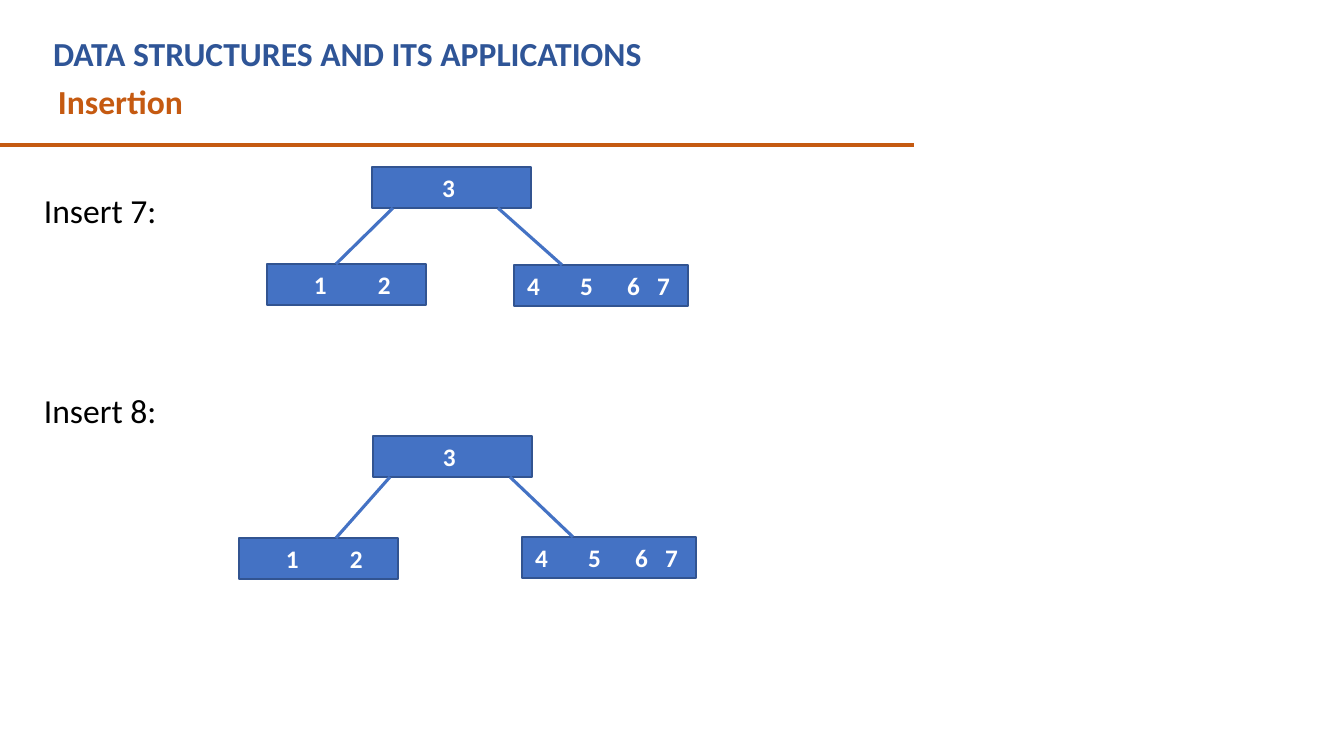
from dataclasses import dataclass

from lxml.etree import SubElement
from pptx import Presentation
from pptx.dml.color import RGBColor
from pptx.enum.shapes import MSO_CONNECTOR, MSO_SHAPE
from pptx.enum.text import MSO_ANCHOR, MSO_AUTO_SIZE, PP_ALIGN
from pptx.oxml.ns import qn
from pptx.shapes.autoshape import Shape
from pptx.slide import Slide
from pptx.text.text import TextFrame, _Paragraph
from pptx.util import Emu, Pt

SLIDE_WIDTH, SLIDE_HEIGHT = 1344, 756
EMU_PER_PX = 12192000 / SLIDE_WIDTH
NODE_HEIGHT = 41
NODE_FILL, NODE_LINE = "4472C4", "325491"
HEADING_BLUE, ACCENT_ORANGE = "2F5597", "C55A11"
BLACK, WHITE = "000000", "FFFFFF"


@dataclass(frozen=True)
class NodeKind:
    width: int
    keys: tuple[str, ...]
    key_offsets: tuple[int, ...]


@dataclass(frozen=True)
class Node:
    kind: NodeKind
    left: int
    top: int


@dataclass(frozen=True)
class Branch:
    child: Node
    root_x: int
    child_x: int


@dataclass(frozen=True)
class Tree:
    root: Node
    branches: tuple[Branch, ...]


ROOT = NodeKind(159, ("3",), (70,))
LOW_LEAF = NodeKind(159, ("1", "2"), (47, 111))
HIGH_LEAF = NodeKind(174, ("4", "5", "6", "7"), (13, 66, 113, 143))

TREES = (
    Tree(Node(ROOT, 372, 167), (
        Branch(Node(LOW_LEAF, 267, 264), 393, 336),
        Branch(Node(HIGH_LEAF, 514, 265), 498, 562),
    )),
    Tree(Node(ROOT, 373, 436), (
        Branch(Node(LOW_LEAF, 239, 538), 390, 336),
        Branch(Node(HIGH_LEAF, 522, 537), 510, 573),
    )),
)


def px(value: int) -> Emu:
    return Emu(round(value * EMU_PER_PX))


def color(hex_code: str) -> RGBColor:
    return RGBColor.from_string(hex_code)


def format_paragraph(paragraph: _Paragraph, size: int, hex_code: str, bold: bool) -> None:
    paragraph.alignment = PP_ALIGN.LEFT
    font = paragraph.font
    font.name, font.size, font.bold = "Calibri", Pt(size), bold
    font.color.rgb = color(hex_code)


def place(shape: Shape, left: int, top: int, width: int, height: int) -> None:
    shape.left, shape.top = px(left), px(top)
    shape.width, shape.height = px(width), px(height)


def fill_text(frame: TextFrame, lines: tuple[str, ...], hex_code: str,
              bold: bool, gap: int = 0) -> None:
    frame.word_wrap = True
    frame.auto_size = MSO_AUTO_SIZE.NONE
    frame.vertical_anchor = MSO_ANCHOR.TOP
    frame.text = "\n".join(lines)
    for index, paragraph in enumerate(frame.paragraphs):
        paragraph.space_before = Pt(gap if index else 0)
        format_paragraph(paragraph, 24, hex_code, bold)


def add_line(slide: Slide, start: tuple[int, int], end: tuple[int, int],
             hex_code: str, width: float) -> None:
    connector = slide.shapes.add_connector(
        MSO_CONNECTOR.STRAIGHT, *map(px, start), *map(px, end))
    connector.line.color.rgb = color(hex_code)
    connector.line.width = Pt(width)
    SubElement(connector._element.spPr, qn("a:effectLst"))


def add_tab_stops(paragraph: _Paragraph, positions: list[int]) -> None:
    tab_list = SubElement(paragraph._p.get_or_add_pPr(), qn("a:tabLst"))
    for position in positions:
        SubElement(tab_list, qn("a:tab"), pos=str(px(position)), algn="l")


def add_node(slide: Slide, node: Node) -> None:
    kind = node.kind
    shape = slide.shapes.add_shape(
        MSO_SHAPE.RECTANGLE, px(node.left), px(node.top), px(kind.width), px(NODE_HEIGHT))
    shape.shadow.inherit = False
    shape.fill.solid()
    shape.fill.fore_color.rgb = color(NODE_FILL)
    shape.line.color.rgb = color(NODE_LINE)
    shape.line.width = Pt(1)
    frame = shape.text_frame
    first, *others = kind.key_offsets
    frame.margin_left, frame.margin_right = px(first), 0
    frame.vertical_anchor = MSO_ANCHOR.MIDDLE
    frame.text = "\t".join(kind.keys)
    paragraph = frame.paragraphs[0]
    if others:
        add_tab_stops(paragraph, [offset - first for offset in others])
    format_paragraph(paragraph, 18, WHITE, True)


def add_tree(slide: Slide, tree: Tree) -> None:
    add_node(slide, tree.root)
    root_bottom = tree.root.top + NODE_HEIGHT
    for branch in tree.branches:
        add_node(slide, branch.child)
        add_line(slide, (branch.root_x, root_bottom),
                 (branch.child_x, branch.child.top), NODE_FILL, 2.25)


def add_text(slide: Slide, box: tuple[int, int, int, int], lines: tuple[str, ...],
             hex_code: str, bold: bool, gap: int = 0) -> None:
    text_box = slide.shapes.add_textbox(*map(px, box))
    fill_text(text_box.text_frame, lines, hex_code, bold, gap)


def main() -> None:
    presentation = Presentation()
    presentation.slide_width, presentation.slide_height = px(SLIDE_WIDTH), px(SLIDE_HEIGHT)
    slide = presentation.slides.add_slide(presentation.slide_layouts.get_by_name("Title Only"))
    title = slide.shapes.title
    place(title, 43, 28, 827, 51)
    fill_text(title.text_frame, ("DATA STRUCTURES AND ITS APPLICATIONS",), HEADING_BLUE, True)
    add_text(slide, (48, 76, 827, 51), ("Insertion",), ACCENT_ORANGE, True)
    add_line(slide, (0, 145), (914, 145), ACCENT_ORANGE, 3)
    add_text(slide, (34, 185, 1028, 377), ("Insert 7:", "Insert 8:"), BLACK, False, gap=114)
    for tree in TREES:
        add_tree(slide, tree)
    presentation.save("out.pptx")


if __name__ == "__main__":
    main()
